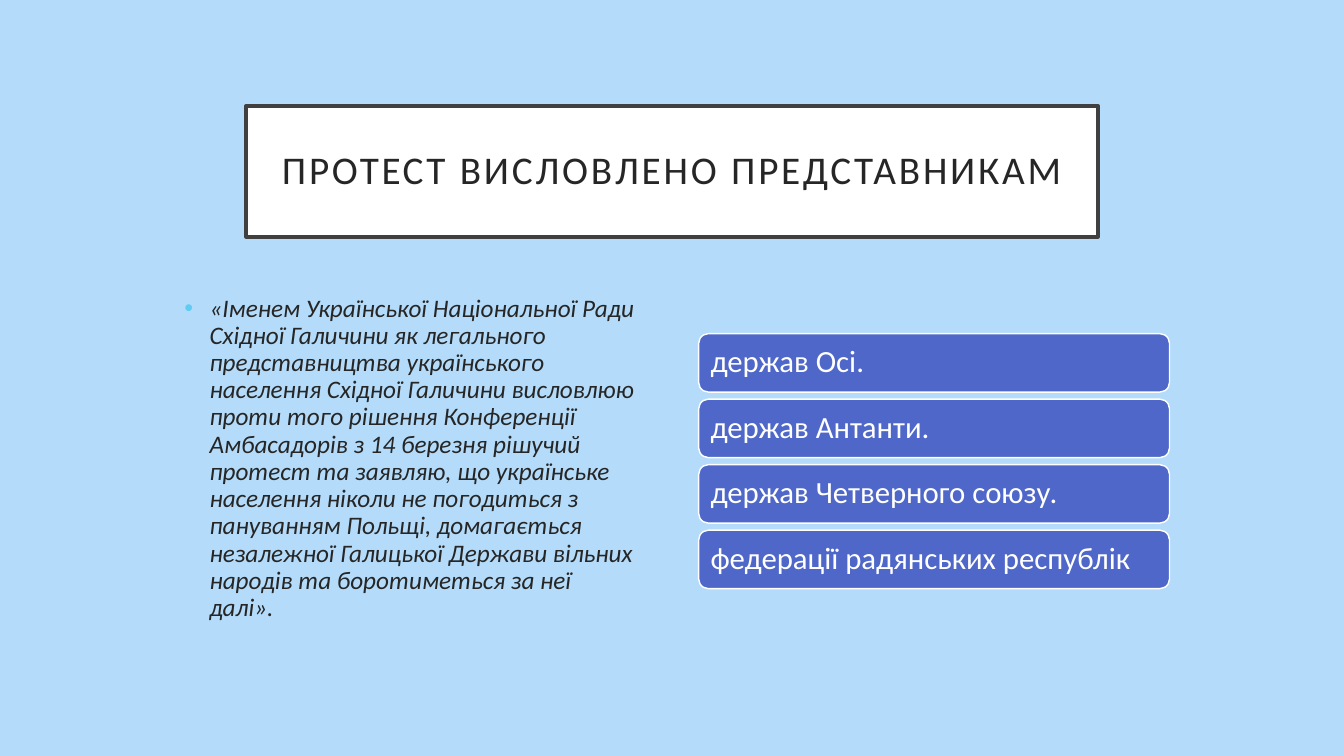
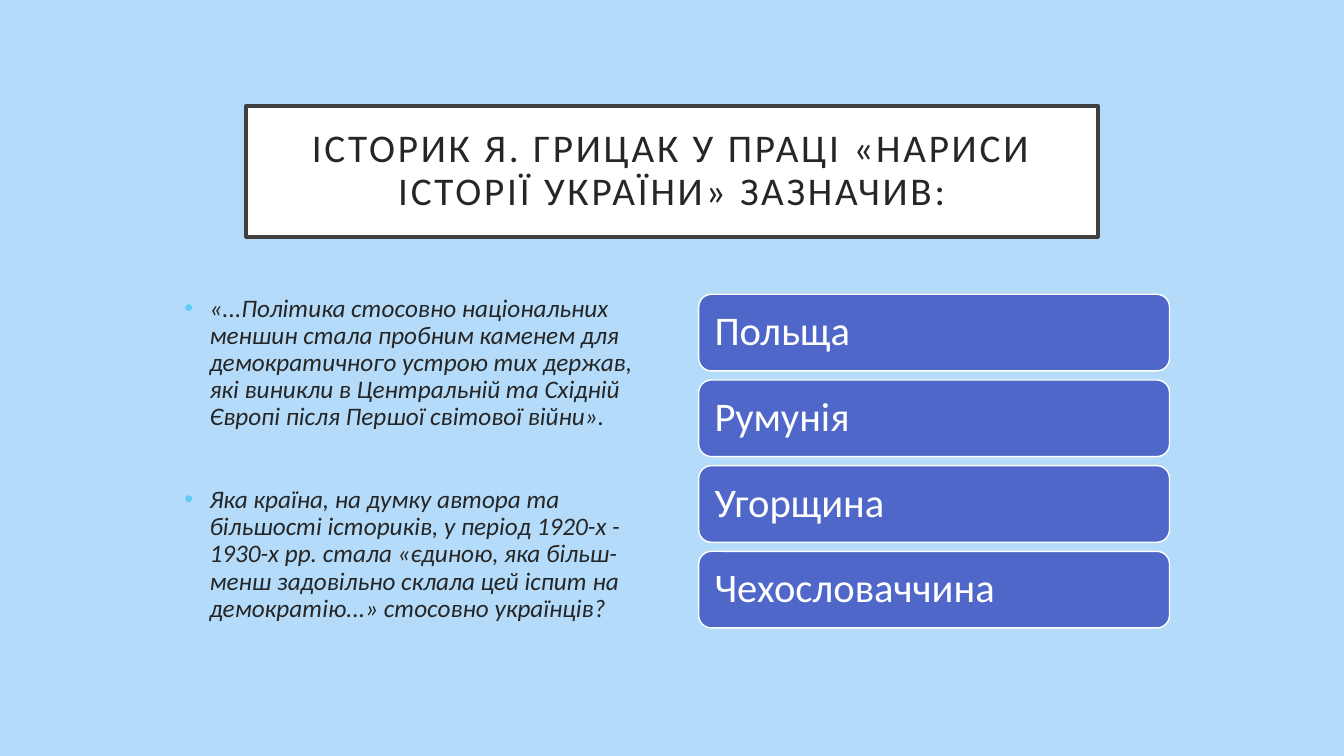
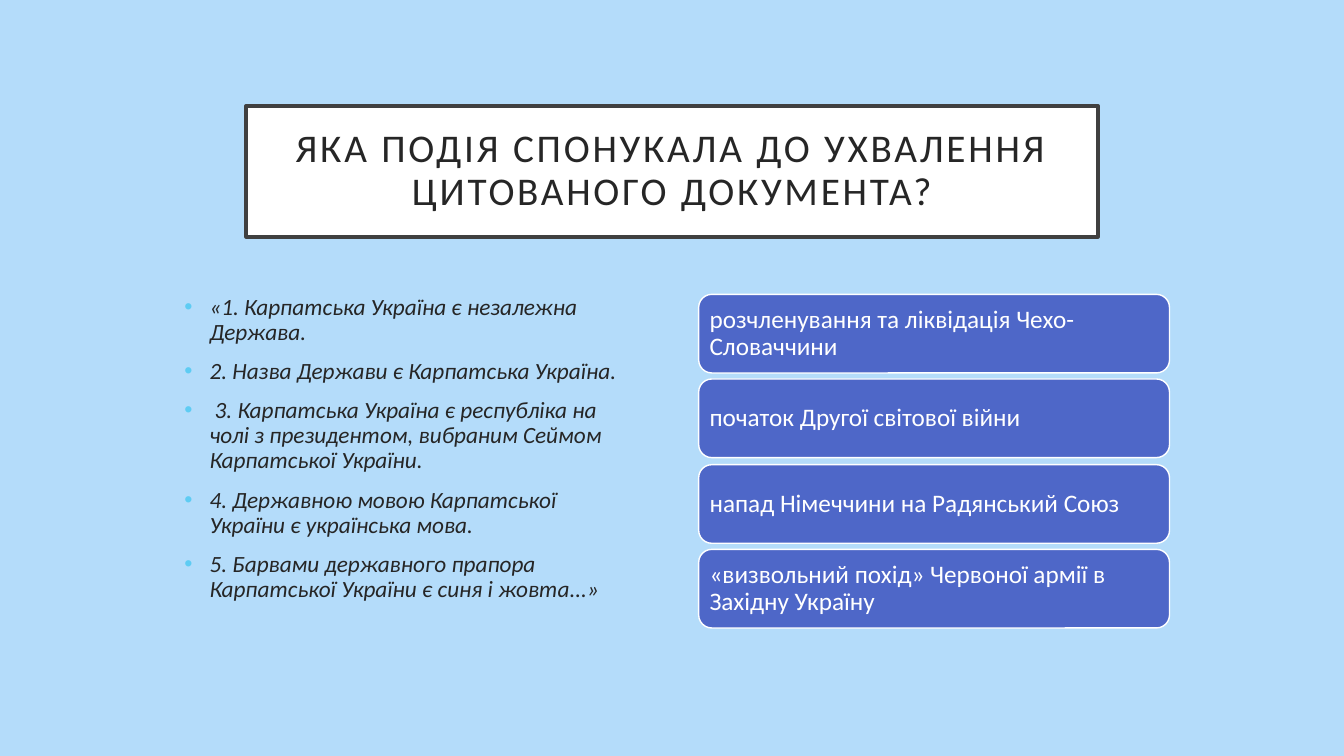
from lxml import etree
from pptx import Presentation
from pptx.dml.color import RGBColor
from pptx.enum.shapes import MSO_SHAPE as Shape
from pptx.enum.text import MSO_ANCHOR as Anchor, PP_ALIGN as Align
from pptx.oxml.ns import qn
from pptx.util import Inches, Pt

# Shared look
SLIDE_W, SLIDE_H = 13.33, 7.5
FONT = "Calibri"
SKY, WHITE, INK, FRAME = "B4DCFA", "FFFFFF", "262626", "404040"
ANSWER_BLUE, BULLET_CYAN = "4E67C8", "5ECCF3"
LINE_SPACING = 0.9

# Page grid: a centred title and two columns, as (left, top, width, height)
TITLE_W, COLUMN_W, COLUMN_GAP = 8.45, 4.67, 0.53
TITLE_BOX = ((SLIDE_W - TITLE_W) / 2, 1.05, TITLE_W, 1.3)
COLUMN_LEFT = (SLIDE_W - 2 * COLUMN_W - COLUMN_GAP) / 2
QUOTE_BOX = (COLUMN_LEFT, 2.88, COLUMN_W, 3.39)
ANSWER_BOX = (COLUMN_LEFT + COLUMN_W + COLUMN_GAP, 2.88, COLUMN_W, 3.39)

QUIZ = [
    dict(
        title="ПРОТЕСТ ВИСЛОВЛЕНО ПРЕДСТАВНИКАМ",
        quotes=[
            "«Іменем Української Національної Ради Східної Галичини як легального "
            "представництва українського населення Східної Галичини висловлюю проти "
            "того рішення Конференції Амбасадорів з 14 березня рішучий протест та "
            "заявляю, що українське населення ніколи не погодиться з пануванням "
            "Польщі, домагається незалежної Галицької Держави вільних народів та "
            "боротиметься за неї далі».",
        ],
        quote_style=dict(size=18, gap=10),
        answers=["держав Осі.", "держав Антанти.", "держав Четверного союзу.",
                 "федерації радянських республік"],
        answer_style=dict(size=22, height=0.58, gap=0.07, inset=0.09),
    ),
    dict(
        title="ІСТОРИК Я. ГРИЦАК У ПРАЦІ «НАРИСИ ІСТОРІЇ УКРАЇНИ» ЗАЗНАЧИВ:",
        quotes=[
            "«...Політика стосовно національних меншин стала пробним каменем для "
            "демократичного устрою тих держав, які виникли в Центральній та Східній "
            "Європі після Першої світової війни».",
            "Яка країна, на думку автора та більшості істориків, у період 1920-х - "
            "1930-х рр. стала «єдиною, яка більш-менш задовільно склала цей іспит на "
            "демократію...» стосовно українців?",
        ],
        quote_style=dict(size=18, gap=39.5),
        answers=["Польща", "Румунія", "Угорщина", "Чехословаччина"],
        answer_style=dict(size=29, height=0.76, gap=0.09, inset=0.12),
    ),
    dict(
        title="ЯКА ПОДІЯ СПОНУКАЛА ДО УХВАЛЕННЯ ЦИТОВАНОГО ДОКУМЕНТА?",
        quotes=[
            "«1. Карпатська Україна є незалежна Держава.",
            "2. Назва Держави є Карпатська Україна.",
            " 3. Карпатська Україна є республіка на чолі з президентом, вибраним "
            "Сеймом Карпатської України.",
            "4. Державною мовою Карпатської України є українська мова.",
            "5. Барвами державного прапора Карпатської України є синя і жовта...»",
        ],
        quote_style=dict(size=16.6, gap=10),
        answers=["розчленування та ліквідація Чехо-Словаччини",
                 "початок Другої світової війни",
                 "напад Німеччини на Радянський Союз",
                 "«визвольний похід» Червоної армії в Західну Україну"],
        answer_style=dict(size=18, height=0.78, gap=0.06, inset=0.07),
    ),
]


def paint(color_format, hex_color):
    color_format.rgb = RGBColor.from_string(hex_color)


def fill_with(fill, hex_color):
    fill.solid()
    paint(fill.fore_color, hex_color)


def inches(box):
    return [Inches(round(length, 2)) for length in box]


def style_text(paragraph, size, color, italic=False):
    paragraph.line_spacing = LINE_SPACING
    for run in paragraph.runs:
        run.font.name = FONT
        run.font.size = Pt(size)
        run.font.italic = italic
        paint(run.font.color, color)


def add_panel(slide, kind, box, fill, line, line_width, inset, text, align):
    """Filled, outlined shape with one vertically centred paragraph."""
    panel = slide.shapes.add_shape(kind, *inches(box))
    panel.shadow.inherit = False
    fill_with(panel.fill, fill)
    paint(panel.line.color, line)
    panel.line.width = Pt(line_width)
    frame = panel.text_frame
    frame.text = text
    frame.word_wrap = True
    frame.vertical_anchor = Anchor.MIDDLE
    frame.margin_left = frame.margin_right = Inches(inset)
    frame.margin_top = frame.margin_bottom = Inches(inset)
    paragraph = frame.paragraphs[0]
    paragraph.alignment = align
    return paragraph


def add_title(slide, box, text):
    paragraph = add_panel(slide, Shape.RECTANGLE, box, WHITE, FRAME, 2.5, 0.2,
                          text, Align.CENTER)
    style_text(paragraph, 28, INK)
    # Letter spacing of 2 pt
    for run in paragraph.runs:
        run.font._element.set("spc", "200")


def add_bullet(paragraph):
    props = paragraph._p.get_or_add_pPr()
    props.set("marL", str(Inches(0.25)))
    props.set("indent", str(-Inches(0.25)))
    bullet_color = etree.SubElement(props, qn("a:buClr"))
    etree.SubElement(bullet_color, qn("a:srgbClr"), val=BULLET_CYAN)
    etree.SubElement(props, qn("a:buFont"), typeface="Arial")
    etree.SubElement(props, qn("a:buChar"), char="•")


def add_quotes(slide, box, quotes, size, gap):
    frame = slide.shapes.add_textbox(*inches(box)).text_frame
    frame.word_wrap = True
    for index, quote in enumerate(quotes):
        paragraph = frame.add_paragraph() if index else frame.paragraphs[0]
        paragraph.text = quote
        add_bullet(paragraph)
        style_text(paragraph, size, INK, italic=True)
        if index:
            paragraph.space_before = Pt(gap)


def add_answers(slide, box, answers, size, height, gap, inset):
    """Equal bars, stacked and centred vertically in the box."""
    left, top, width, box_height = box
    stack_height = len(answers) * (height + gap) - gap
    first_top = top + (box_height - stack_height) / 2
    for row, answer in enumerate(answers):
        bar = (left, first_top + row * (height + gap), width, height)
        paragraph = add_panel(slide, Shape.ROUNDED_RECTANGLE, bar, ANSWER_BLUE,
                              WHITE, 1, inset, answer, Align.LEFT)
        style_text(paragraph, size, WHITE)


def add_quiz_slide(deck, title, quotes, quote_style, answers, answer_style):
    slide = deck.slides.add_slide(deck.slide_layouts[6])
    fill_with(slide.background.fill, SKY)
    add_title(slide, TITLE_BOX, title)
    add_quotes(slide, QUOTE_BOX, quotes, **quote_style)
    add_answers(slide, ANSWER_BOX, answers, **answer_style)


def main():
    deck = Presentation()
    deck.slide_width, deck.slide_height = Inches(SLIDE_W), Inches(SLIDE_H)
    for question in QUIZ:
        add_quiz_slide(deck, **question)
    deck.save("out.pptx")


if __name__ == "__main__":
    main()
